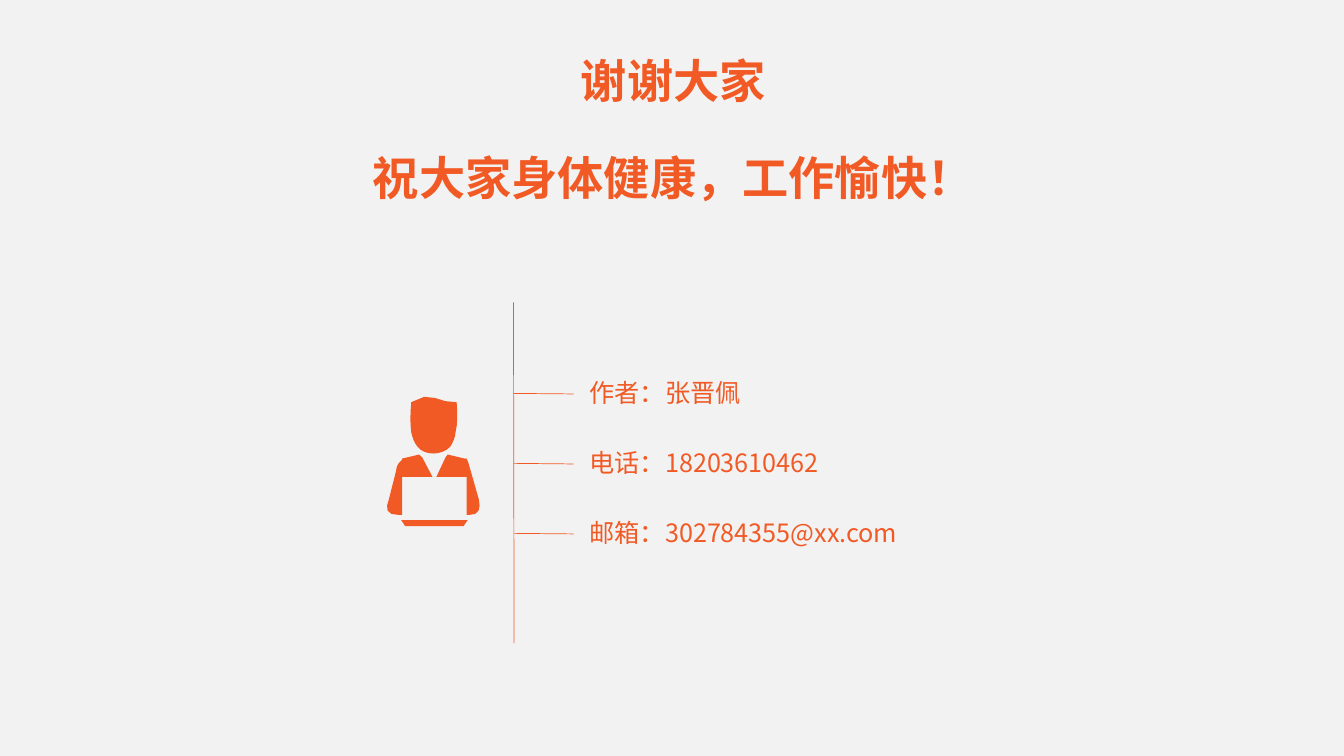
from dataclasses import dataclass

from pptx import Presentation
from pptx.dml.color import RGBColor
from pptx.enum.shapes import MSO_CONNECTOR
from pptx.enum.text import MSO_ANCHOR, MSO_AUTO_SIZE, PP_ALIGN
from pptx.oxml.ns import qn
from pptx.slide import Slide
from pptx.util import Pt

STRAIGHT = MSO_CONNECTOR.STRAIGHT
MIDDLE = MSO_ANCHOR.MIDDLE
CENTER = PP_ALIGN.CENTER
GROW = MSO_AUTO_SIZE.SHAPE_TO_FIT_TEXT
FIXED = MSO_AUTO_SIZE.NONE

FONT = "Noto Sans CJK SC"
ORANGE = "F15A24"
GREY = "F2F2F2"
TRUNK = 367.2
FIRST = 281
STEP = 50
SLOPE = 0.4
UNIT = 0.1
SLICES = 4

Point = tuple[float, float]


@dataclass
class Contact:
    text: str
    width: float


@dataclass
class Part:
    start: Point
    steps: list[tuple[float, ...]]


CONTACTS = [
    Contact("作者：张晋佩", 229.7),
    Contact("电话：18203610462", 308.9),
    Contact("邮箱：302784355@xx.com", 308.9),
]

HEAD = Part((293.8, 308.9), [
    (293, 301.7, 293, 294.5, 293.8, 287.3),
    (307.4, 277.9, 314.6, 288.7, 326.2, 287.3),
    (326.9, 294.5, 326.9, 303.1, 325.4, 308.9),
    (325.4, 312.5, 323.3, 316.1, 321.8, 319),
    (318.2, 322.6, 313.9, 324, 309.6, 324),
    (305.3, 324, 301, 322.6, 298.1, 319),
    (295.9, 316.1, 294.5, 312.5, 293.8, 308.9),
])
BASE = Part((286.6, 371.5), [(334.1, 371.5), (331.2, 375.8), (289.4, 375.8)])
RIGHT = Part((336.2, 336.2), [
    (342, 356.4),
    (343.4, 363.6, 342.7, 367.9, 334.8, 367.9),
    (333.4, 367.9), (333.4, 340.6), (311.8, 340.6), (318.2, 326.9),
    (319.7, 324.7), (331.9, 327.6), (333.4, 327.6), (334.8, 331.2),
])
LEFT = Part((287.3, 367.9), [
    (285.1, 367.9),
    (275.8, 367.9, 275, 363.6, 277.9, 356.4),
    (283, 336.2),
    (283, 332.6, 285.1, 330.5, 287.3, 328.3),
    (287.3, 327.6), (299.5, 324.7), (301.7, 326.9),
    (308.9, 340.6), (287.3, 340.6),
])
PERSON = [HEAD, BASE, RIGHT, LEFT]


def color(code: str) -> RGBColor:
    return RGBColor.from_string(code)


def style(para, size: float, spacing: float, bold: bool = False) -> None:
    font = para.font
    font.name = FONT
    font.size = Pt(size)
    font.bold = bold
    font.color.rgb = color(ORANGE)
    para.line_spacing = spacing
    props = font._element
    east = props.makeelement(qn("a:ea"), {"typeface": FONT})
    props.find(qn("a:latin")).addnext(east)


def add_title(slide: Slide) -> None:
    title = slide.shapes.title
    title.left, title.top = Pt(170.6), Pt(41.8)
    title.width, title.height = Pt(620.6), Pt(104.4)
    frame = title.text_frame
    frame.text = "谢谢大家\n祝大家身体健康，工作愉快！"
    frame.word_wrap = True
    frame.auto_size = FIXED
    frame.vertical_anchor = MIDDLE
    frame.margin_top = Pt(8)
    for para in frame.paragraphs:
        style(para, 33, 0.73, True)
        para.alignment = CENTER
        para.space_before = Pt(0)
    frame.paragraphs[-1].space_before = Pt(40.5)


def add_line(slide: Slide, start: Point, end: Point) -> None:
    line = slide.shapes.add_connector(
        STRAIGHT, *(Pt(v) for v in (*start, *end)))
    line.line.color.rgb = color(ORANGE)
    line.line.width = Pt(0.5)
    props = line._element.spPr
    props.append(props.makeelement(qn("a:effectLst"), {}))


def add_contact(slide: Slide, item: Contact, y: float) -> None:
    box = slide.shapes.add_textbox(
        Pt(414), Pt(y - 12.4), Pt(item.width), Pt(30.2))
    frame = box.text_frame
    frame.word_wrap = True
    frame.auto_size = GROW
    frame.text = item.text
    style(frame.paragraphs[0], 18, 0.9)


def trace(part: Part) -> list[Point]:
    points = [part.start]
    for step in part.steps:
        if len(step) == 2:
            points.append(step)
            continue
        curve = (points[-1], step[:2], step[2:4], step[4:])
        for i in range(1, SLICES + 1):
            t = i / SLICES
            s = 1 - t
            terms = (s ** 3, 3 * s * s * t, 3 * s * t * t, t ** 3)
            points.append(tuple(
                sum(k * p[axis] for k, p in zip(terms, curve))
                for axis in (0, 1)))
    return [(round(x / UNIT), round(y / UNIT)) for x, y in points]


def add_person(slide: Slide, parts: list[Part]) -> None:
    lines = [trace(part) for part in parts]
    pen = slide.shapes.build_freeform(*lines[0][0], scale=Pt(UNIT))
    for i, points in enumerate(lines):
        if i:
            pen.move_to(*points[0])
        pen.add_line_segments(points[1:], close=True)
    person = pen.convert_to_shape()
    person.shadow.inherit = False
    person.fill.solid()
    person.fill.fore_color.rgb = color(ORANGE)
    person.line.fill.background()


def main() -> None:
    deck = Presentation()
    deck.slide_width, deck.slide_height = Pt(960), Pt(540)
    slide = deck.slides.add_slide(deck.slide_layouts[5])
    back = slide.background.fill
    back.solid()
    back.fore_color.rgb = color(GREY)
    add_title(slide)
    add_line(slide, (TRUNK - SLOPE, 216), (TRUNK, 459.4))
    rows = [FIRST + i * STEP for i in range(len(CONTACTS))]
    for y in rows:
        add_line(slide, (TRUNK, y), (409.7, y + SLOPE))
    for item, y in zip(CONTACTS, rows):
        add_contact(slide, item, y)
    add_person(slide, PERSON)
    deck.save("out.pptx")


if __name__ == "__main__":
    main()
